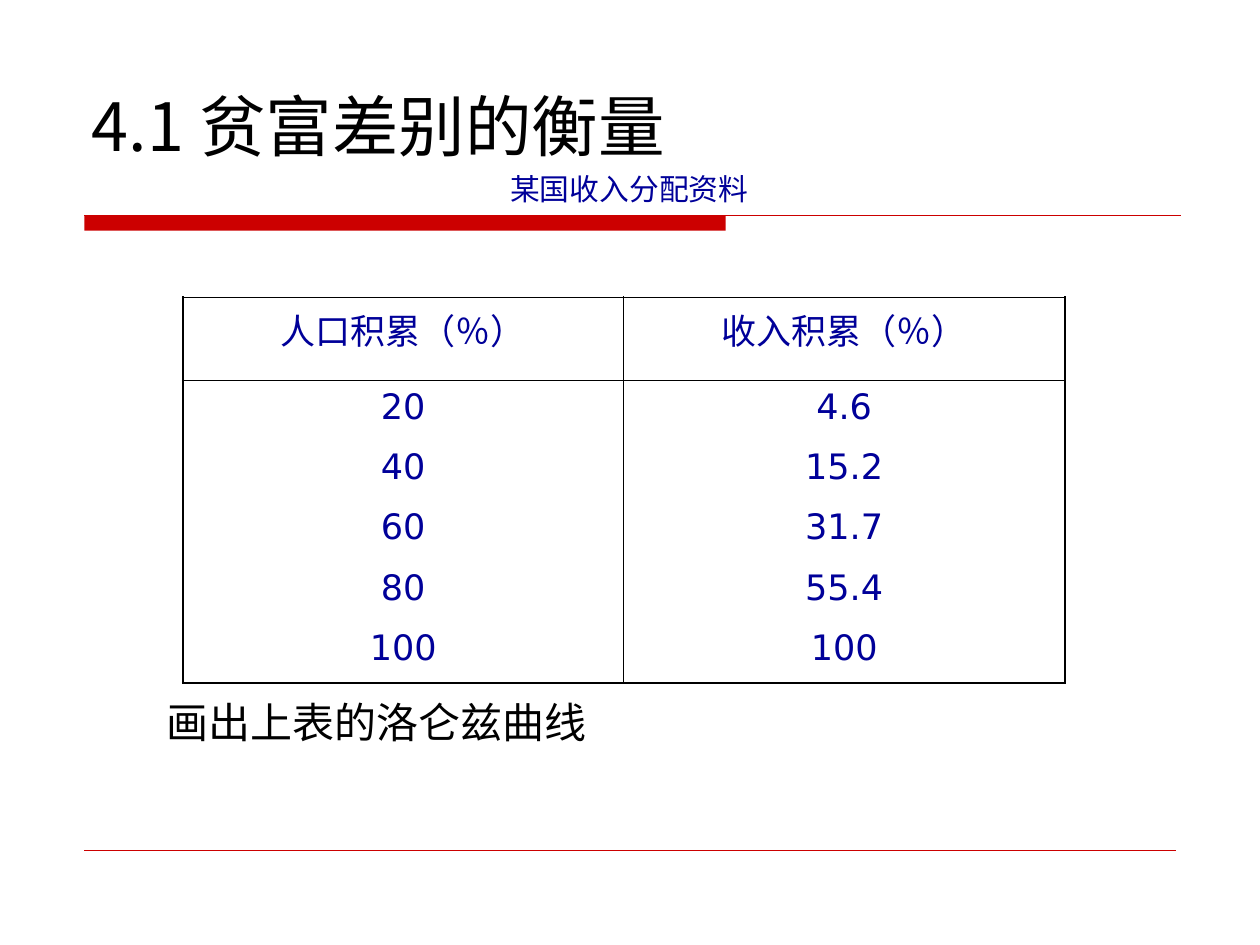
from dataclasses import dataclass

import lxml.etree
import pptx
import pptx.dml.color
import pptx.enum.shapes
import pptx.enum.text
import pptx.oxml.ns
import pptx.util

Inches = pptx.util.Inches
Pt = pptx.util.Pt
RGB = pptx.dml.color.RGBColor
Align = pptx.enum.text.PP_ALIGN
Anchor = pptx.enum.text.MSO_ANCHOR
qn = pptx.oxml.ns.qn


@dataclass(frozen=True)
class Theme:
    ink: RGB = RGB(0, 0, 0)
    accent: RGB = RGB(0xCC, 0, 0)
    data: RGB = RGB(0, 0, 0x99)
    cjk_font: str = "Noto Sans CJK SC"
    table_font: str = "DejaVu Sans"
    caption_font: str = "Times New Roman"
    title_size: float = 38
    subtitle_size: float = 17
    table_size: float = 20
    caption_size: float = 24
    outer_border: float = 1.08
    inner_border: float = 0.45


THEME = Theme()


@dataclass(frozen=True)
class Style:
    font: str
    size: float
    color: RGB
    align: Align = Align.LEFT
    space_before: float = 0


@dataclass(frozen=True)
class Label:
    text: str
    left: float
    top: float
    width: float
    height: float
    style: Style
    anchor: Anchor = Anchor.TOP


@dataclass(frozen=True)
class Rule:
    left: float
    right: float
    y: float
    weight: float


@dataclass(frozen=True)
class Column:
    heading: str
    values: tuple[str, ...]


LABELS = (
    Label("4.1 贫富差别的衡量", 0.63, 0.33, 8.75, 1.33,
          Style(THEME.cjk_font, THEME.title_size, THEME.ink), Anchor.MIDDLE),
    Label("某国收入分配资料", 1.38, 1.31, 7.23, 0.63,
          Style(THEME.cjk_font, THEME.subtitle_size, THEME.data, Align.CENTER, 4.2)),
    Label("画出上表的洛仑兹曲线", 1.22, 5.48, 7.48, 0.5,
          Style(THEME.caption_font, THEME.caption_size, THEME.ink, space_before=15)),
)
RULES = (Rule(0.67, 9.37, 1.71, 0.75), Rule(0.67, 9.33, 6.75, 0.25))
COLUMNS = (
    Column("人口积累（％）", ("20", "40", "60", "80", "100")),
    Column("收入积累（％）", ("4.6", "15.2", "31.7", "55.4", "100")),
)
TABLE_STYLE = Style(THEME.table_font, THEME.table_size, THEME.data, Align.CENTER, 11.2)
ROW_HEIGHTS = (0.66, 2.4)
COLUMN_WIDTH = 3.5


def write_lines(frame, lines: tuple[str, ...], style: Style) -> None:
    frame.text = "\n".join(lines)
    for paragraph in frame.paragraphs:
        paragraph.alignment = style.align
        paragraph.space_before = Pt(style.space_before)
        font = paragraph.font
        font.name, font.size = style.font, Pt(style.size)
        font.color.rgb = style.color
        for run in paragraph.runs:
            east_asian = lxml.etree.SubElement(run.font._element, qn("a:ea"))
            east_asian.set("typeface", THEME.cjk_font)


def draw_label(slide, label: Label) -> None:
    box = slide.shapes.add_textbox(Inches(label.left), Inches(label.top),
                                   Inches(label.width), Inches(label.height))
    box.text_frame.word_wrap = True
    box.text_frame.vertical_anchor = label.anchor
    write_lines(box.text_frame, (label.text,), label.style)


def draw_rule(slide, rule: Rule) -> None:
    line = slide.shapes.add_connector(
        pptx.enum.shapes.MSO_CONNECTOR.STRAIGHT,
        Inches(rule.left), Inches(rule.y), Inches(rule.right), Inches(rule.y))
    line.line.color.rgb = THEME.accent
    line.line.width = Pt(rule.weight)
    lxml.etree.SubElement(line._element.spPr, qn("a:effectLst"))


def draw_title_bar(slide) -> None:
    bar = slide.shapes.add_shape(pptx.enum.shapes.MSO_SHAPE.RECTANGLE,
                                 Inches(0.67), Inches(1.71), Inches(5.09), Inches(0.12))
    bar.shadow.inherit = False
    bar.fill.solid()
    bar.fill.fore_color.rgb = THEME.accent
    bar.line.fill.background()


def set_borders(cell, outer_sides: dict[str, bool]) -> None:
    """Draw each side heavy if it lies on the table's edge, else light."""
    properties = cell._tc.get_or_add_tcPr()
    for side, is_outer in outer_sides.items():
        weight = THEME.outer_border if is_outer else THEME.inner_border
        border = lxml.etree.SubElement(properties, qn(f"a:ln{side}"), w=str(int(Pt(weight))))
        fill = lxml.etree.SubElement(border, qn("a:solidFill"))
        lxml.etree.SubElement(fill, qn("a:srgbClr"), val=str(THEME.ink))


def draw_table(slide, columns: tuple[Column, ...]) -> None:
    last_row, last_column = len(ROW_HEIGHTS) - 1, len(columns) - 1
    table = slide.shapes.add_table(
        len(ROW_HEIGHTS), len(columns), Inches(1.45), Inches(2.36),
        Inches(COLUMN_WIDTH * len(columns)), Inches(sum(ROW_HEIGHTS))).table
    table.first_row = table.horz_banding = False
    for row, height in zip(table.rows, ROW_HEIGHTS):
        row.height = Inches(height)
    for c, column in enumerate(columns):
        table.columns[c].width = Inches(COLUMN_WIDTH)
        for r, lines in enumerate(((column.heading,), column.values)):
            cell = table.cell(r, c)
            write_lines(cell.text_frame, lines, TABLE_STYLE)
            set_borders(cell, {"L": c == 0, "R": c == last_column,
                               "T": r == 0, "B": r == last_row})
            cell.fill.background()


def main() -> None:
    presentation = pptx.Presentation()
    presentation.slide_width, presentation.slide_height = Inches(10), Inches(7.5)
    slide = presentation.slides.add_slide(presentation.slide_layouts[6])
    draw_title_bar(slide)
    for rule in RULES:
        draw_rule(slide, rule)
    draw_table(slide, COLUMNS)
    for label in LABELS:
        draw_label(slide, label)
    presentation.save("out.pptx")


if __name__ == "__main__":
    main()
